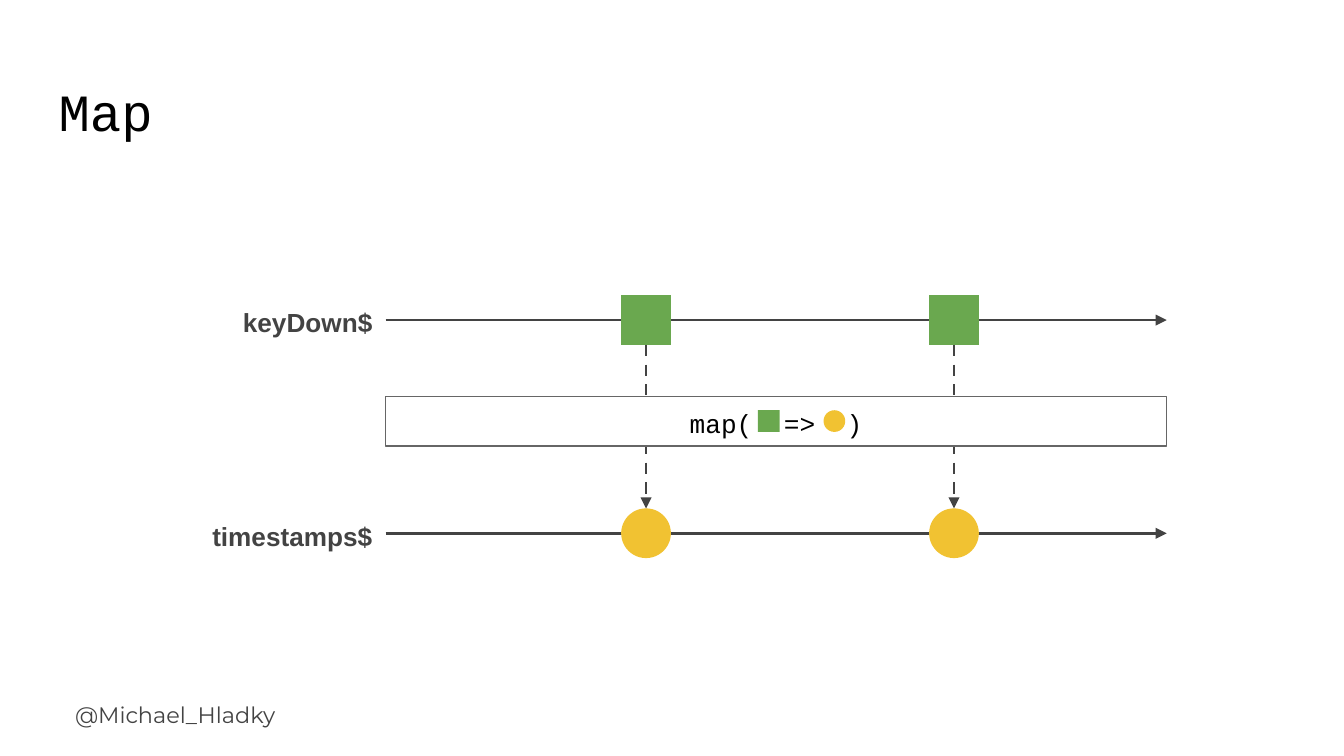
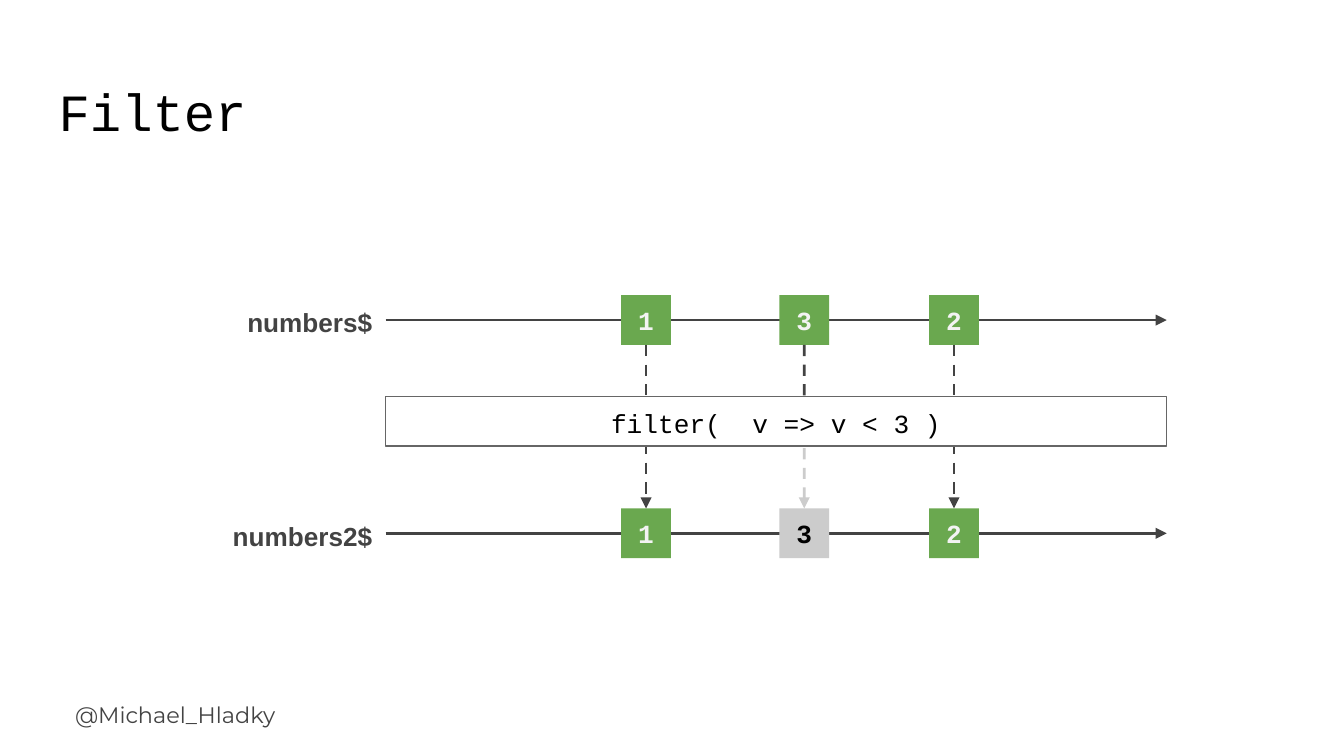
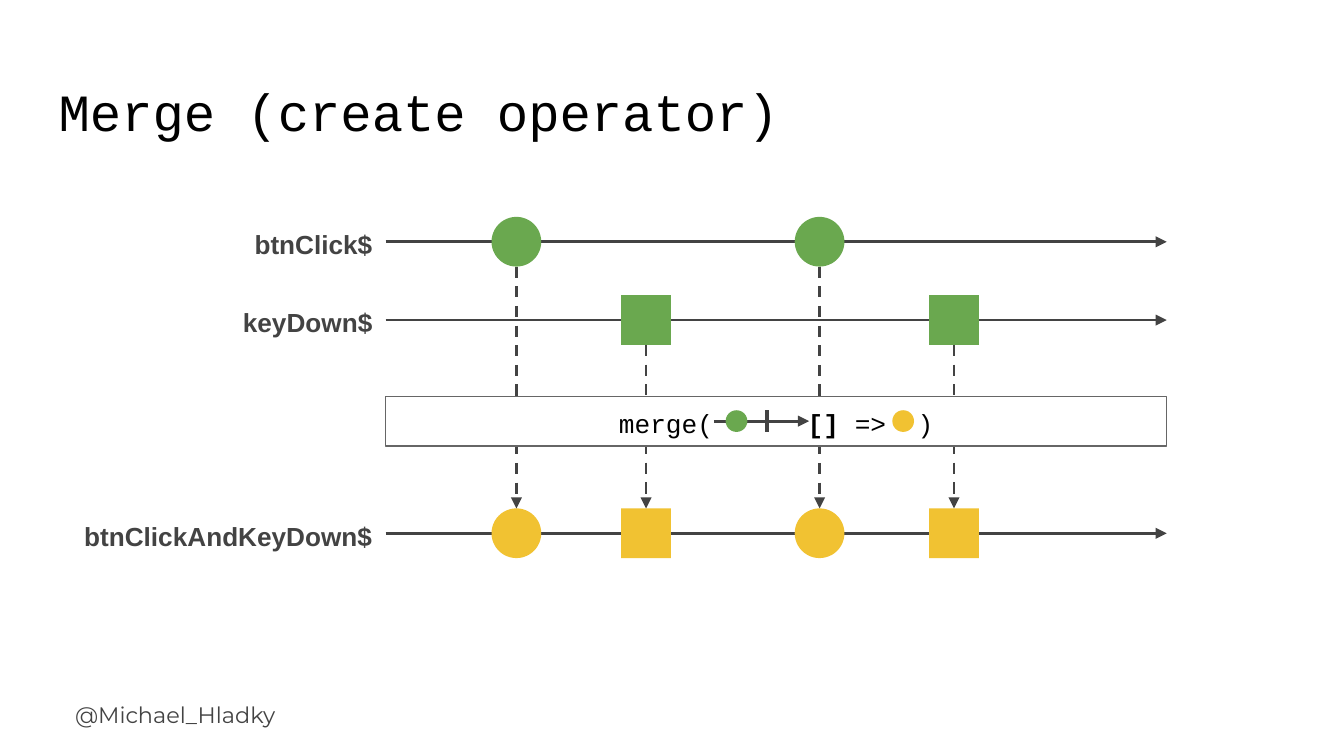
"""Build three marble diagrams explaining the map, filter and merge operators."""
import dataclasses

import pptx
import pptx.dml.color
import pptx.enum.dml
import pptx.enum.shapes
import pptx.enum.text
import pptx.oxml.ns
import pptx.util
from lxml import etree

Cm = pptx.util.Cm
ALIGN = pptx.enum.text.PP_ALIGN
ANCHOR = pptx.enum.text.MSO_ANCHOR
SHAPE = pptx.enum.shapes.MSO_SHAPE
SQUARE, CIRCLE = SHAPE.RECTANGLE, SHAPE.OVAL


@dataclasses.dataclass(frozen=True)
class Theme:
    green: str = "6AA84F"
    yellow: str = "F1C232"
    faded: str = "CCCCCC"
    ink: str = "434343"
    border: str = "666666"
    black: str = "000000"
    white: str = "FFFFFF"
    pale: str = "F3F3F3"
    code: str = "Courier New"
    label: str = "Arial"
    handle: str = "Montserrat"
    title_size: float = 28
    body_size: float = 14
    handle_size: float = 12
    hairline: float = 0.75
    stroke: float = 1.5
    heavy: float = 2.25
    leading: float = 1.15


THEME = Theme()
GREEN, YELLOW = THEME.green, THEME.yellow

HANDLE = "@Michael_Hladky"
TOP, MIDDLE, BOTTOM = 4.57, 6.05, 10.08

DIAGRAMS = [
    {
        "title": "Map",
        "streams": {MIDDLE: "keyDown$", BOTTOM: "timestamps$"},
        "events": [
            {"x": x, "from": (MIDDLE, SQUARE, GREEN), "to": (CIRCLE, YELLOW)}
            for x in (12.21, 18.03)
        ],
        "operator": [("map(  =>  )", False)],
        "icons": [(SQUARE, GREEN, 14.53), (CIRCLE, YELLOW, 15.77)],
    },
    {
        "title": "Filter",
        "streams": {MIDDLE: "numbers$", BOTTOM: "numbers2$"},
        "events": [
            {"x": x, "from": (MIDDLE, SQUARE, GREEN), "value": value,
             "to": (SQUARE, GREEN if passes else THEME.faded), "passes": passes}
            for x, value, passes in ((12.21, "1", True), (15.2, "3", False), (18.03, "2", True))
        ],
        "operator": [("filter(  v => v < 3 )", False)],
    },
    {
        "title": "Merge (create operator)",
        "streams": {TOP: "btnClick$", MIDDLE: "keyDown$", BOTTOM: "btnClickAndKeyDown$"},
        "events": [
            {"x": x, "from": (lane, kind, GREEN), "to": (kind, YELLOW)}
            for lane, kind, columns in ((TOP, CIRCLE, (9.76, 15.49)), (MIDDLE, SQUARE, (12.21, 18.03)))
            for x in columns
        ],
        "operator": [("merge(      ", False), ("[]", True), (" =>  )", False)],
        "mini_stream": {"start": 13.49, "end": 15.29, "tick": 14.5},
        "icons": [(CIRCLE, GREEN, 13.92), (CIRCLE, YELLOW, 17.07)],
    },
]

AXIS_START, AXIS_END = 7.29, 22.05
LABEL_LEFT, LABEL_HEIGHT = 1.22, 1.27
OPERATOR_Y = 7.96
MARBLE, ICON = 0.94, 0.41
DROP_GAP = 0.14
INSET = 0.25


def rgb(colour):
    return pptx.dml.color.RGBColor.from_string(colour)


def write(box, runs, font, size, colour, align=ALIGN.LEFT, anchor=ANCHOR.TOP, inset=INSET, leading=1.0):
    frame = box.text_frame
    frame.word_wrap = True
    frame.vertical_anchor = anchor
    frame.margin_left = frame.margin_right = Cm(inset)
    frame.margin_top = frame.margin_bottom = Cm(inset)
    paragraph = frame.paragraphs[0]
    paragraph.alignment = align
    paragraph.line_spacing = leading
    for text, bold in runs:
        run = paragraph.add_run()
        run.text = text
        run.font.name = font
        run.font.size = pptx.util.Pt(size)
        run.font.bold = bold
        run.font.color.rgb = rgb(colour)


def text_box(slide, left, top, width, height):
    return slide.shapes.add_textbox(Cm(left), Cm(top), Cm(width), Cm(height))


def filled(slide, kind, colour, x, y, width, height):
    shape = slide.shapes.add_shape(kind, Cm(x - width / 2), Cm(y - height / 2), Cm(width), Cm(height))
    shape.shadow.inherit = False
    shape.fill.solid()
    shape.fill.fore_color.rgb = rgb(colour)
    shape.line.fill.background()
    return shape


def stroke(slide, x1, y1, x2, y2, colour=THEME.ink, width=THEME.stroke, dashed=False, arrow=True):
    straight = pptx.enum.shapes.MSO_CONNECTOR.STRAIGHT
    line = slide.shapes.add_connector(straight, Cm(x1), Cm(y1), Cm(x2), Cm(y2))
    line.line.color.rgb = rgb(colour)
    line.line.width = pptx.util.Pt(width)
    if dashed:
        line.line.dash_style = pptx.enum.dml.MSO_LINE.DASH
    qn = pptx.oxml.ns.qn
    if arrow:
        etree.SubElement(line.line._get_or_add_ln(), qn("a:tailEnd"), type="triangle")
    etree.SubElement(line._element.spPr, qn("a:effectLst"))
    return line


def draw_stream(slide, lane, name):
    label = text_box(slide, LABEL_LEFT, lane - LABEL_HEIGHT / 2, AXIS_START - LABEL_LEFT, LABEL_HEIGHT)
    write(label, [(name, True)], THEME.label, THEME.body_size, THEME.ink,
          ALIGN.RIGHT, ANCHOR.MIDDLE, leading=THEME.leading)
    axis = stroke(slide, AXIS_START, lane, AXIS_END, lane)
    axis.begin_connect(label, 3)


def draw_event(slide, event):
    x, passes = event["x"], event.get("passes", True)
    lane, kind, colour = event["from"]
    source = filled(slide, kind, colour, x, lane, MARBLE, MARBLE)
    result = filled(slide, *event["to"], x, BOTTOM, MARBLE, MARBLE)
    if "value" in event:
        for marble, ink in ((source, THEME.pale), (result, THEME.pale if passes else THEME.black)):
            write(marble, [(event["value"], True)], THEME.code, THEME.body_size, ink,
                  ALIGN.CENTER, ANCHOR.MIDDLE, inset=0)

    start, end = lane + MARBLE / 2, BOTTOM - MARBLE / 2
    if passes:
        first = last = stroke(slide, x, start, x, end, dashed=True)
    else:
        first = stroke(slide, x, start, x, OPERATOR_Y - DROP_GAP, dashed=True)
        last = stroke(slide, x, OPERATOR_Y + DROP_GAP, x, end, THEME.faded, dashed=True)
    if kind == SQUARE:
        first.begin_connect(source, 2)
    if event["to"][0] == SQUARE:
        last.end_connect(result, 0)


def draw_operator(slide, diagram):
    operator = filled(slide, SQUARE, THEME.white, (AXIS_START + AXIS_END) / 2, OPERATOR_Y,
                      AXIS_END - AXIS_START, MARBLE)
    operator.line.color.rgb = rgb(THEME.border)
    operator.line.width = pptx.util.Pt(THEME.hairline)
    write(operator, diagram["operator"], THEME.code, THEME.body_size, THEME.black,
          ALIGN.CENTER, ANCHOR.MIDDLE, leading=THEME.leading)
    if "mini_stream" in diagram:
        mini = diagram["mini_stream"]
        stroke(slide, mini["start"], OPERATOR_Y, mini["end"], OPERATOR_Y)
        stroke(slide, mini["tick"], OPERATOR_Y - ICON / 2, mini["tick"], OPERATOR_Y + ICON / 2,
               width=THEME.heavy, arrow=False)
    for kind, colour, x in diagram.get("icons", []):
        filled(slide, kind, colour, x, OPERATOR_Y, ICON, ICON)


def draw_diagram(deck, diagram):
    slide = deck.slides.add_slide(deck.slide_layouts[6])
    write(text_box(slide, 1.17, 13, 5.69, 1.14), [(HANDLE, False)],
          THEME.handle, THEME.handle_size, THEME.ink)
    write(text_box(slide, 0.86, 1.24, 21.92, 1.6), [(diagram["title"], False)],
          THEME.code, THEME.title_size, THEME.black)
    for lane, name in diagram["streams"].items():
        draw_stream(slide, lane, name)
    for event in diagram["events"]:
        draw_event(slide, event)
    draw_operator(slide, diagram)


def main():
    deck = pptx.Presentation()
    deck.slide_width, deck.slide_height = Cm(25.4), Cm(14.29)
    for diagram in DIAGRAMS:
        draw_diagram(deck, diagram)
    deck.save("out.pptx")


if __name__ == "__main__":
    main()
